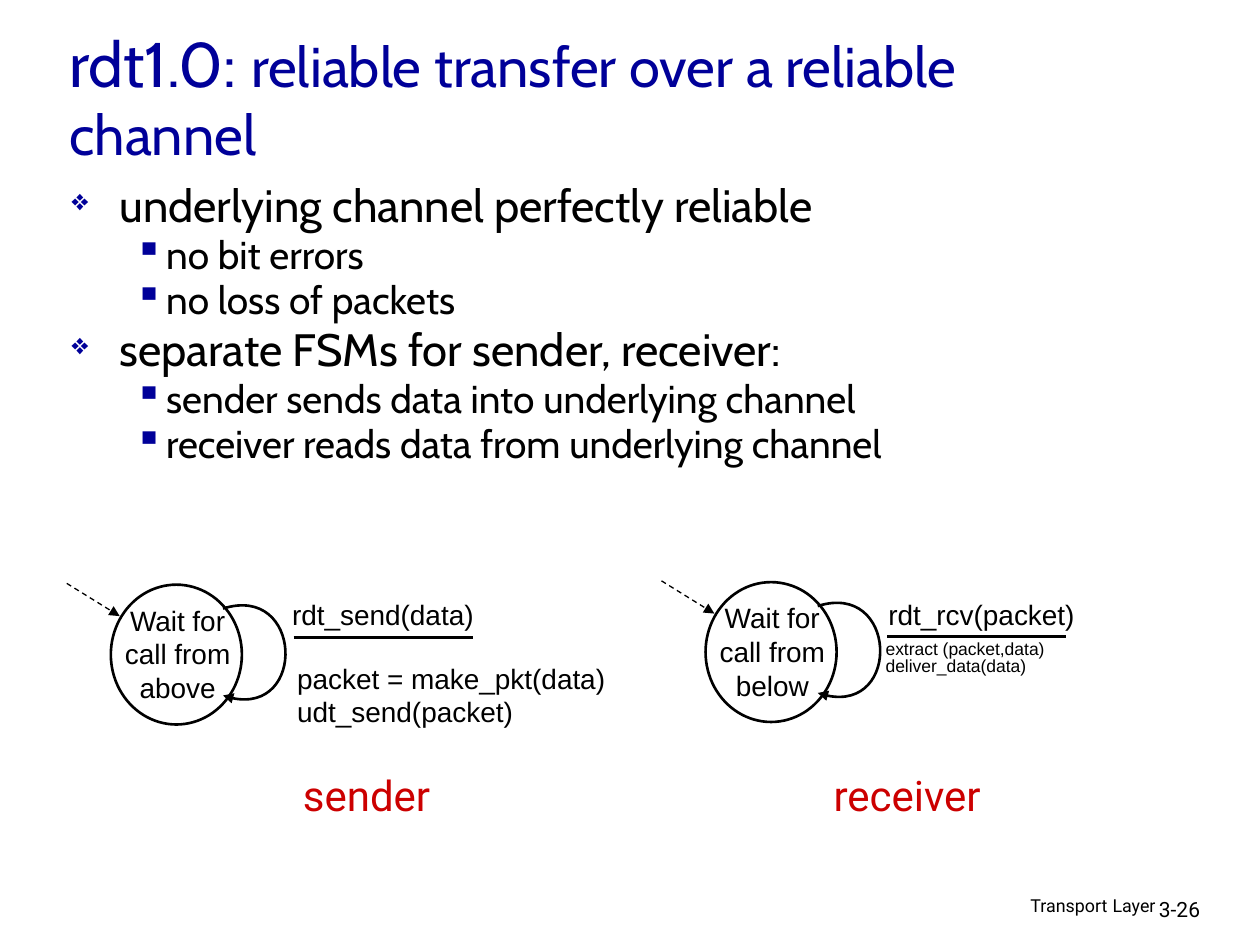
from pptx import Presentation
from pptx.dml.color import RGBColor
from pptx.enum.dml import MSO_LINE_DASH_STYLE as DASH
from pptx.enum.shapes import MSO_CONNECTOR as CONNECTOR, MSO_SHAPE as SHAPE
from pptx.enum.text import MSO_ANCHOR as ANCHOR, MSO_AUTO_SIZE as AUTO, PP_ALIGN as ALIGN
from pptx.oxml.ns import qn
from pptx.util import Pt
from lxml.etree import SubElement

PX = 9144  # EMU per px, 100 px to the inch
COLORS = {"ink": "000000", "paper": "FFFFFF", "navy": "000099", "red": "CC0000"}
# character, left margin, hanging indent, size in percent, text size, space before
BULLETS = [("❖", 38, 38, 65, 25.9, 7), ("▪", 75, 25, 100, 22.2, 6)]


def rgb(name):
    return RGBColor.from_string(COLORS[name])


def add_run(p, text, size=16, font="Arial", color="ink"):
    r = p.add_run()
    r.text = text
    r.font.size = Pt(size)
    r.font.name = font
    r.font.color.rgb = rgb(color)


def add_bullet(p, level):
    char, margin, hang, percent, _, _ = BULLETS[level]
    pPr = p._p.get_or_add_pPr()
    pPr.set("marL", str(margin * PX))
    pPr.set("indent", str(-hang * PX))
    color = SubElement(pPr, qn("a:buClr"))
    SubElement(color, qn("a:srgbClr"), val=COLORS["navy"])
    SubElement(pPr, qn("a:buSzPct"), val=str(percent * 1000))
    SubElement(pPr, qn("a:buChar"), char=char)


class SlideBuilder:
    def __init__(self, prs):
        self.slide = prs.slides.add_slide(prs.slide_layouts[5])
        self.shapes = self.slide.shapes

    def place(self, sp, box):
        sp.left, sp.top, sp.width, sp.height = (v * PX for v in box)

    def title(self, box, runs):
        sp = self.shapes.title
        self.place(sp, box)
        tf = sp.text_frame
        tf.auto_size = AUTO.NONE
        tf.vertical_anchor = ANCHOR.MIDDLE
        p = tf.paragraphs[0]
        p.alignment = ALIGN.LEFT
        for text, size in runs:
            add_run(p, text, size, "Cabin", "navy")

    def text(self, box, lines, align=ALIGN.LEFT, spacing=None, wrap=True, **style):
        """Add a text box; each line is a string or a list of (text, size) runs."""
        tf = self.shapes.add_textbox(*(v * PX for v in box)).text_frame
        tf.word_wrap = wrap
        tf.auto_size = AUTO.NONE if wrap else AUTO.SHAPE_TO_FIT_TEXT
        for i, line in enumerate(lines):
            p = tf.add_paragraph() if i else tf.paragraphs[0]
            p.alignment = align
            p.line_spacing = spacing
            if isinstance(line, str):
                add_run(p, line, **style)
            else:
                for text, size in line:
                    add_run(p, text, size, **style)
        return tf

    def bullets(self, box, items):
        tf = self.text(box, [[(text, BULLETS[level][4])] for level, text in items],
                       spacing=0.75, font="Cabin")
        for p, (level, _) in zip(tf.paragraphs, items):
            p.level = level
            p.space_before = Pt(BULLETS[level][5])
            add_bullet(p, level)

    def outline(self, sp, width=1.5, arrow=False):
        sp.line.color.rgb = rgb("ink")
        sp.line.width = Pt(width)
        if arrow:
            SubElement(sp.line._get_or_add_ln(), qn("a:tailEnd"), type="triangle")

    def line(self, x1, y1, x2, y2, width=1.5, dashed=False, arrow=False):
        sp = self.shapes.add_connector(CONNECTOR.STRAIGHT, *(v * PX for v in (x1, y1, x2, y2)))
        if dashed:
            sp.line.dash_style = DASH.DASH
        self.outline(sp, width, arrow)
        SubElement(sp._element.spPr, qn("a:effectLst"))

    def ellipse(self, box):
        sp = self.shapes.add_shape(SHAPE.OVAL, *(v * PX for v in box))
        sp.shadow.inherit = False
        sp.fill.solid()
        sp.fill.fore_color.rgb = rgb("paper")
        self.outline(sp)

    def curve_arrow(self, start, *points):
        """Add a cubic curve: start, two control points, end."""
        builder = self.shapes.build_freeform(*start, scale=PX)
        builder.add_line_segments(points, close=False)
        sp = builder.convert_to_shape()
        segments = sp._element.xpath(".//a:lnTo")
        curve = SubElement(segments[0].getparent(), qn("a:cubicBezTo"))
        for segment in segments:
            curve.append(segment[0])
            segment.getparent().remove(segment)
        sp.shadow.inherit = False
        sp.fill.background()
        self.outline(sp, arrow=True)

    def state(self, x, y, label):
        """Add an FSM state with its initial arrow and its self-transition."""
        self.ellipse((x, y, 104, 111))
        self.text((x - 7, y + 10, 120, 100), [label], align=ALIGN.CENTER)
        self.curve_arrow((x + 89, y + 19), (x + 152, y - 1),
                         (x + 156, y + 111), (x + 89, y + 88))
        self.line(x - 35, y - 1, x + 7, y + 25, width=0.75, dashed=True, arrow=True)


def main():
    prs = Presentation()
    prs.slide_width, prs.slide_height = 1000 * PX, 750 * PX
    s = SlideBuilder(prs)

    s.text((610, 705, 317, 31), [[("Transport", 10.2), (" ", 11.9), ("Layer", 10.2)]],
           align=ALIGN.RIGHT, spacing=0.9, font="Roboto")
    s.text((910, 707, 74, 30), ["3-26"], size=12, font="Roboto")
    s.title((45, 21, 875, 110),
            [("rdt1.0: ", 36), ("reliable transfer over a reliable channel", 32)])
    s.bullets((47, 146, 864, 330), [
        (0, "underlying channel perfectly reliable"),
        (1, "no bit errors"),
        (1, "no loss of packets"),
        (0, "separate FSMs for sender, receiver:"),
        (1, "sender sends data into underlying channel"),
        (1, "receiver reads data from underlying channel"),
    ])

    s.state(88, 464, "Wait for call from above")
    s.text((222, 469, 247, 47), ["rdt_send(data)"])
    s.line(233, 506, 375, 506)
    s.text((226, 520, 293, 65), ["packet = make_pkt(data)", "udt_send(packet)"])

    s.state(560, 462, "Wait for call from below")
    s.text((695, 469, 168, 37), ["rdt_rcv(packet)"], align=ALIGN.CENTER, wrap=False)
    s.line(704, 505, 846, 505)
    s.text((693, 505, 272, 47), ["extract (packet,data)", "deliver_data(data)"],
           spacing=0.8, size=10)

    for x, width, role in ((221, 140, "sender"), (630, 180, "receiver")):
        s.text((x, 606, width, 50), [role], align=ALIGN.CENTER, wrap=False,
               size=24, font="Roboto", color="red")

    prs.save("out.pptx")


if __name__ == "__main__":
    main()
